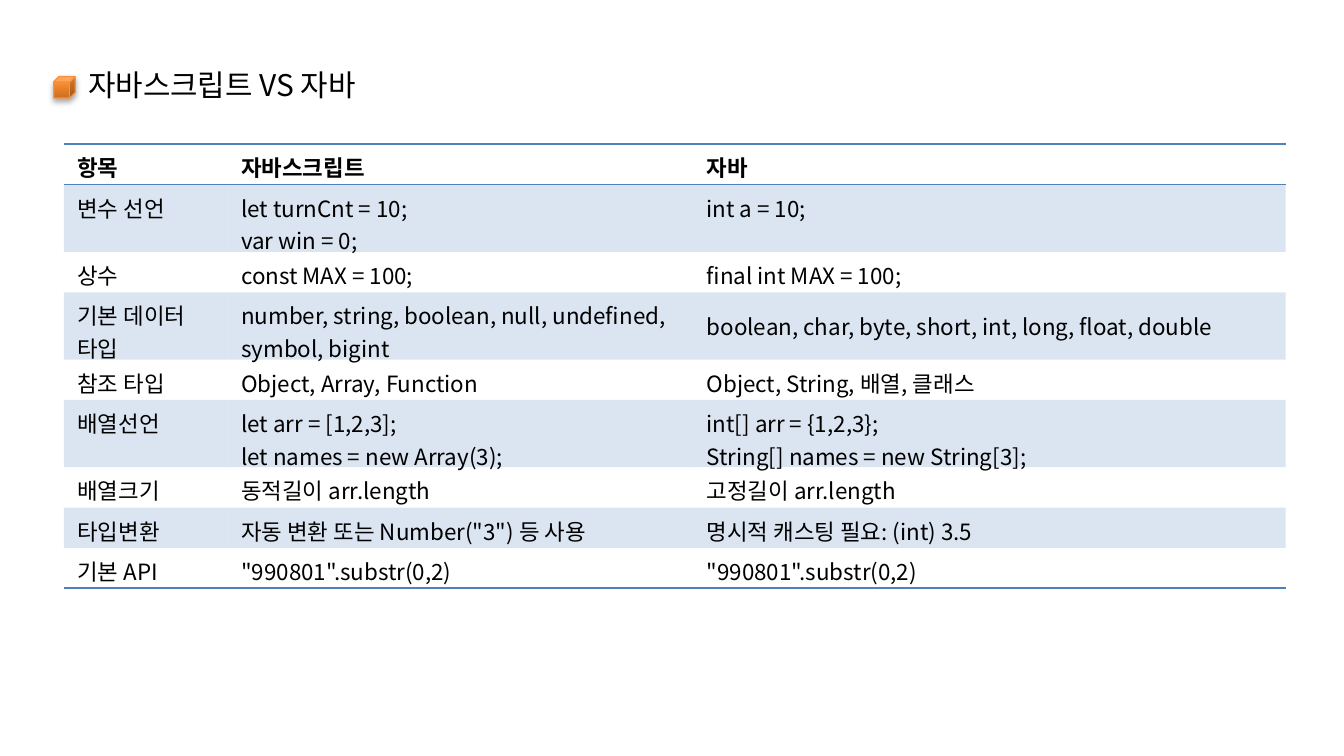
import pptx
import pptx.dml.color
import pptx.enum.shapes
import pptx.enum.text
import pptx.oxml
import pptx.oxml.ns
import pptx.util
from lxml import etree

Pt = pptx.util.Pt
qn = pptx.oxml.ns.qn

FONT = "Noto Sans CJK KR"
BLACK, BLUE = "000000", "4F81BD"
NO_STYLE = "{2D5ABB26-0587-4C30-8999-92F81FD0307C}"

# Content
TITLE = "자바스크립트 VS 자바"
ROWS = [
    ("항목", "자바스크립트", "자바"),
    ("변수 선언", "let turnCnt = 10;\nvar win = 0;", "int a = 10;"),
    ("상수", "const MAX = 100;", "final int MAX = 100;"),
    ("기본 데이터 타입", "number, string, boolean, null, undefined, symbol, bigint",
     "boolean, char, byte, short, int, long, float, double"),
    ("참조 타입", "Object, Array, Function", "Object, String, 배열, 클래스"),
    ("배열선언", "let arr = [1,2,3];\nlet names = new Array(3);",
     "int[] arr = {1,2,3};\nString[] names = new String[3];"),
    ("배열크기", "동적길이 arr.length", "고정길이 arr.length"),
    ("타입변환", '자동 변환 또는 Number("3") 등 사용', "명시적 캐스팅 필요: (int) 3.5"),
    ("기본 API", '"990801".substr(0,2)', '"990801".substr(0,2)'),
]
COLUMN_WIDTHS = (87.8, 249.4, 317.3)
TALL_ROWS = (1, 3, 5)
SINGLE, DOUBLE = 21.6, 36


def color(value):
    return pptx.dml.color.RGBColor.from_string(value)


def add_xml(parent, markup):
    namespace = pptx.oxml.ns.nsdecls("a")
    tag, rest = markup[1:].split(" ", 1)
    parent.append(pptx.oxml.parse_xml(f"<{tag} {namespace} {rest}"))


def style_text(frame, size, bold=False):
    for para in frame.paragraphs:
        for span in para.runs:
            span.font.size = Pt(size)
            span.font.bold = bold
            span.font.name = FONT
            span.font.color.rgb = color(BLACK)
            add_xml(span.font._element, f'<a:ea typeface="{FONT}"/>')


def add_border(cell, side):
    line = f"""<a:{side} w="{Pt(1)}"><a:solidFill><a:srgbClr val="{BLUE}"/>
        </a:solidFill></a:{side}>"""
    properties = cell._tc.get_or_add_tcPr()
    add_xml(properties, line)


deck = pptx.Presentation()
deck.slide_width, deck.slide_height = Pt(720), Pt(405)
page = deck.slides.add_slide(deck.slide_layouts[6])

# Title
title = page.shapes.add_textbox(Pt(40.3), Pt(32.4), Pt(185.8), Pt(26.6))
title.text_frame.word_wrap = False
title.text_frame.auto_size = pptx.enum.text.MSO_AUTO_SIZE.SHAPE_TO_FIT_TEXT
title.text_frame.text = TITLE
style_text(title.text_frame, 16)

# Cube bullet with gradient and soft shadow
cube = page.shapes.add_shape(
    pptx.enum.shapes.MSO_SHAPE.CUBE, Pt(28.8), Pt(41), Pt(11.5), Pt(11.5))
cube.shadow.inherit = False
cube.line.color.rgb = color("F69240")
cube.line.width = Pt(0.75)
cube.fill.gradient()
cube.fill.gradient_angle = 90
for stop, (position, value) in zip(cube.fill.gradient_stops, [(0, "CC6E20"), (1, "FF9136")]):
    stop.position = position
    stop.color.rgb = color(value)
stops = cube._element.spPr.find(".//" + qn("a:gsLst"))
add_xml(stops, '<a:gs pos="80000"><a:srgbClr val="FF9034"/></a:gs>')
stops.insert(1, stops[-1])
add_xml(cube._element.spPr.find(qn("a:effectLst")),
        f'<a:outerShdw blurRad="{Pt(3.1)}" dist="{Pt(1.8)}" dir="5400000" rotWithShape="0">'
        f'<a:srgbClr val="{BLACK}"><a:alpha val="35000"/></a:srgbClr></a:outerShdw>')

# Comparison table
heights = [DOUBLE if index in TALL_ROWS else SINGLE for index in range(len(ROWS))]
frame = page.shapes.add_table(len(ROWS), len(COLUMN_WIDTHS), Pt(34.2), Pt(77.3),
                              Pt(sum(COLUMN_WIDTHS)), Pt(sum(heights)))
table = frame.table
table.horz_banding = False
table._tbl.tblPr.find(qn("a:tableStyleId")).text = NO_STYLE
for column, width in zip(table.columns, COLUMN_WIDTHS):
    column.width = Pt(width)

last = len(ROWS) - 1
for row_index, (texts, height) in enumerate(zip(ROWS, heights)):
    table.rows[row_index].height = Pt(height)
    for column_index, text in enumerate(texts):
        cell = table.cell(row_index, column_index)
        cell.text_frame.text = text
        style_text(cell.text_frame, 12, bold=row_index == 0)
        if row_index == 0:
            add_border(cell, "lnT")
        if row_index in (0, last):
            add_border(cell, "lnB")
        if row_index % 2:
            cell.fill.solid()
            cell.fill.fore_color.rgb = color(BLUE)
            add_xml(cell._tc.tcPr.find(".//" + qn("a:srgbClr")), '<a:alpha val="20000"/>')
        else:
            cell.fill.background()
table.cell(3, 2).vertical_anchor = pptx.enum.text.MSO_ANCHOR.MIDDLE

deck.save("out.pptx")
